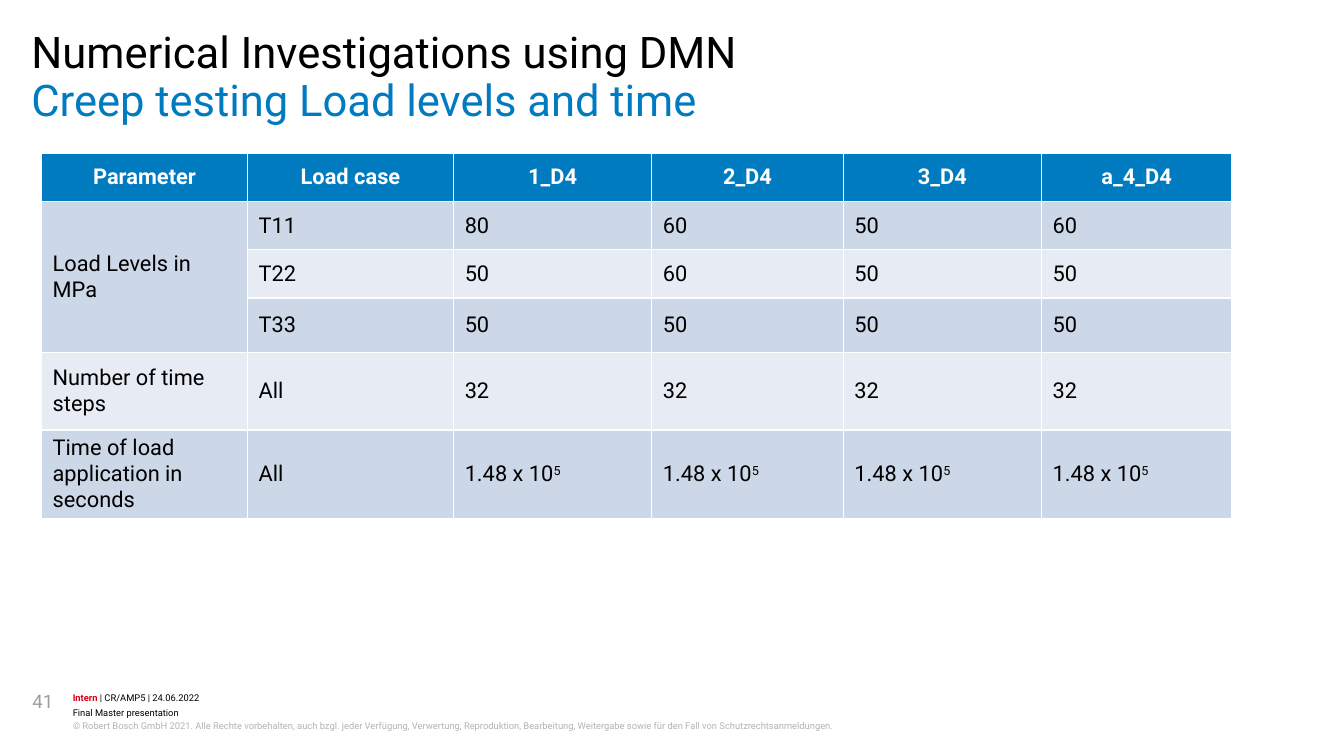
from pptx import Presentation
from pptx.dml.color import RGBColor
from pptx.enum.text import MSO_ANCHOR as Anchor, MSO_AUTO_SIZE as Fit, PP_ALIGN as Align
from pptx.oxml.ns import qn
from pptx.util import Inches, Pt


def style(font, size, color, bold=False):
    font.name, font.size, font.bold = "Roboto", Pt(size), bold
    font.color.rgb = RGBColor.from_string(color)


def place(shape, left, top, width, height):
    """Position a text shape, clear its insets and return its first paragraph."""
    shape.left, shape.top = Inches(left), Inches(top)
    shape.width, shape.height = Inches(width), Inches(height)
    frame = shape.text_frame
    frame.margin_left = frame.margin_right = frame.margin_top = frame.margin_bottom = 0
    frame.word_wrap, frame.auto_size = True, Fit.NONE
    frame.vertical_anchor = Anchor.TOP
    return frame.paragraphs[0]


prs = Presentation()
prs.slide_width, prs.slide_height = Inches(12), Inches(6.75)
slide = prs.slides.add_slide(prs.slide_layouts[1])
shapes = slide.shapes

# Title and the heading above it
heads = [
    (shapes.title, 0.71, "Creep testing Load levels and time", "007BC0"),
    (slide.placeholders[1], 0.28, "Numerical Investigations using DMN", "000000"),
]
for shape, top, text, color in heads:
    para = place(shape, 0.28, top, 11.43, 0.43)
    para.text = text
    props = para._p.get_or_add_pPr()
    props.set("marL", "0")
    props.set("indent", "0")
    props.append(props.makeelement(qn("a:buNone"), {}))
    para.alignment, para.line_spacing = Align.LEFT, 0.89
    para.space_before = Pt(0)
    style(para.font, 28, color)

# Footer
para = place(shapes.add_textbox(0, 0, 0, 0), 0.65, 6.17, 10.01, 0.12)
para.line_spacing = 1.07
for text, color, bold in [("Intern", "D70012", True),
                          (" | CR/AMP5 | 24.06.2022", "000000", False)]:
    run = para.add_run()
    run.text = text
    style(run.font, 6, color, bold)

para = place(shapes.add_textbox(0, 0, 0, 0), 0.65, 6.29, 10.01, 0.24)
para.line_spacing = 1.2
run = para.add_run()
run.text = "Final Master presentation"
style(run.font, 6, "000000")
para.add_line_break()
run = para.add_run()
run.text = ("© Robert Bosch GmbH 2021. Alle Rechte vorbehalten, auch bzgl. jeder Verfügung, "
            "Verwertung, Reproduktion, Bearbeitung, Weitergabe sowie für den Fall von "
            "Schutzrechtsanmeldungen.")
style(run.font, 6, "B2B3B5")

para = place(shapes.add_textbox(0, 0, 0, 0), 0.29, 6.16, 0.32, 0.45)
para.text = "41"
style(para.font, 12, "999FA6")

# Load table; "^" marks a superscript
rows = [
    ["Parameter", "Load case", "1_D4", "2_D4", "3_D4", "a_4_D4"],
    ["Load Levels in MPa", "T11", "80", "60", "50", "60"],
    ["", "T22", "50", "60", "50", "50"],
    ["", "T33", "50", "50", "50", "50"],
    ["Number of time steps", "All"] + ["32"] * 4,
    ["Time of load application in seconds", "All"] + ["1.48 x 10^5"] * 4,
]
widths = [1.84, 1.84, 1.77, 1.71, 1.77, 1.7]
heights = [0.43, 0.43, 0.43, 0.49, 0.69, 0.79]
table = shapes.add_table(len(rows), len(widths), Inches(0.37), Inches(1.37),
                         Inches(sum(widths)), Inches(sum(heights))).table
for col, width in zip(table.columns, widths):
    col.width = Inches(width)
for row, height in zip(table.rows, heights):
    row.height = Inches(height)
table.cell(1, 0).merge(table.cell(3, 0))

for r, row in enumerate(rows):
    head = r == 0
    fill = "007BC0" if head else "CCD7E8" if r % 2 else "E7ECF4"
    for c, text in enumerate(row):
        cell = table.cell(r, c)
        cell.fill.solid()
        cell.fill.fore_color.rgb = RGBColor.from_string(fill)
        cell.vertical_anchor = Anchor.MIDDLE
        para = cell.text_frame.paragraphs[0]
        para.alignment = Align.CENTER if head else Align.LEFT
        base, _, power = text.partition("^")
        para.text = base
        style(para.font, 14, "FFFFFF" if head else "000000", head)
        if power:
            run = para.add_run()
            run.text = power
            run.font._element.set("baseline", "30000")

prs.save("out.pptx")
